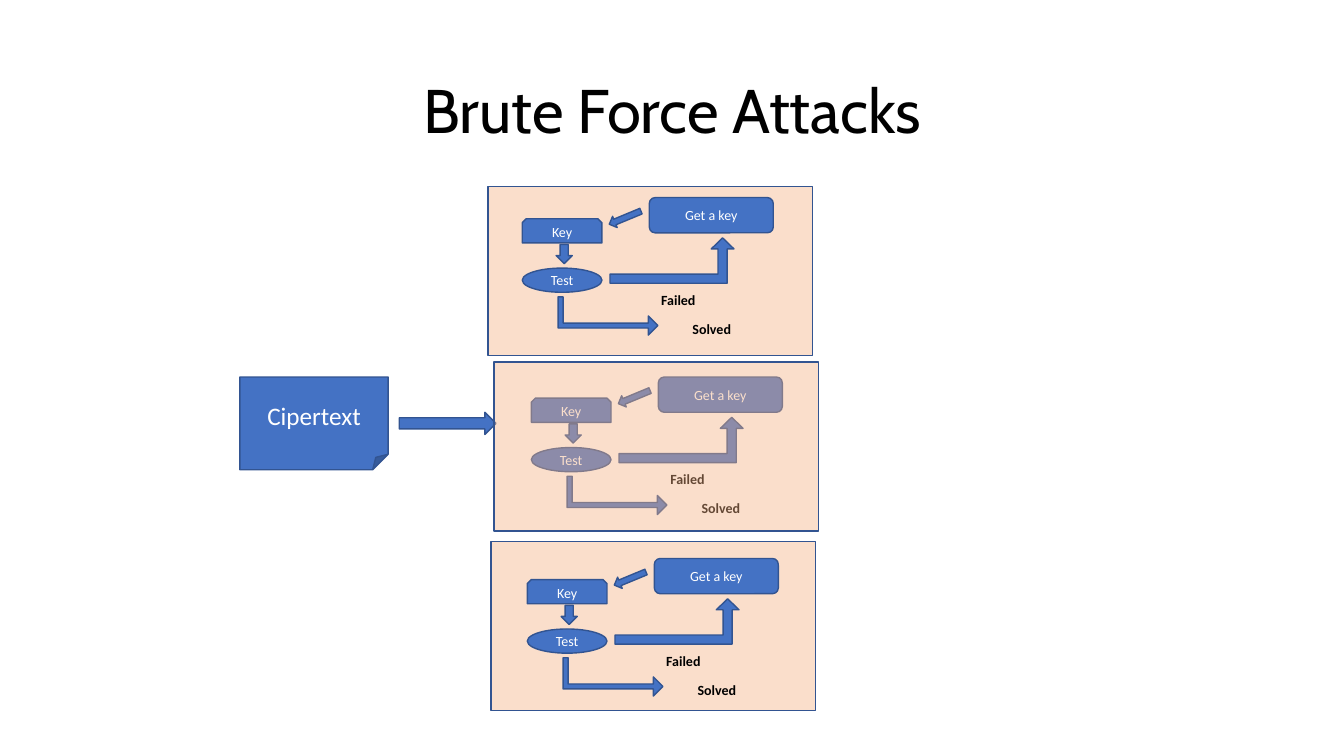
"""Build the brute force attacks slide."""
import dataclasses

import lxml.etree
import pptx
import pptx.dml.color
import pptx.enum.shapes
import pptx.enum.text
import pptx.oxml.ns
import pptx.util

KIND = pptx.enum.shapes.MSO_SHAPE
ALIGN = pptx.enum.text.PP_ALIGN
ANCHOR = pptx.enum.text.MSO_ANCHOR
GRID = pptx.util.Inches(1) / 12


@dataclasses.dataclass(frozen=True)
class Theme:
    """Colours, fonts and type sizes of the slide."""
    accent: str = "4472C4"
    edge: str = "325491"
    panel: str = "F4B183"
    panel_alpha: int = 41
    dark: str = "000000"
    light: str = "FFFFFF"
    heading_font: str = "Cabin"
    body_font: str = "Calibri"
    heading: int = 44
    note: int = 18
    label: int = 10


@dataclasses.dataclass(frozen=True)
class Box:
    """A rectangle in columns and rows of the slide grid."""
    left: float
    top: float
    width: float
    height: float

    def inside(self, left, top, width, height):
        """Return a box offset from this one's top left corner."""
        return Box(self.left + left, self.top + top, width, height)

    def lengths(self):
        """Return the position and size as slide lengths."""
        return [round(value * GRID) for value in dataclasses.astuple(self)]


THEME = Theme()
TITLE = Box(11.04, 4.8, 138, 17.4)
CIPHERTEXT = Box(28.56, 44.88, 30.48, 11.04)
TOP_PANEL = Box(58.08, 22.2, 38.64, 20.16)
MIDDLE_PANEL = Box(58.8, 43.08, 38.64, 20.16)
BOTTOM_PANEL = Box(58.44, 64.44, 38.64, 20.16)
LOOPS = (
    TOP_PANEL.inside(4.08, 1.32, 29.88, 18),
    MIDDLE_PANEL.inside(4.44, 1.8, 29.88, 18),
    BOTTOM_PANEL.inside(4.32, 2.04, 29.88, 18),
)
STEPS = (
    (KIND.SNIP_2_SAME_RECTANGLE, (0, 2.52, 9.48, 2.88), "Key"),
    (KIND.OVAL, (0, 8.4, 9.48, 2.88), "Test"),
    (KIND.ROUNDED_RECTANGLE, (15.12, 0, 14.76, 4.2), "Get a key"),
)
ARROWS = (
    (KIND.RIGHT_ARROW, (3.84, 5.76, 2.28, 1.92), 90, ()),
    (KIND.BENT_UP_ARROW, (10.44, 4.8, 14.76, 5.4), 0, (0.2, 0.25, 0.244)),
    (KIND.BENT_UP_ARROW, (7.92, 8.16, 4.56, 11.88), 90, (0.13, 0.25, 0.25)),
    (KIND.RIGHT_ARROW, (10.2, 1.68, 4.08, 1.44), 157.5, ()),
)
OUTCOMES = (
    ((19.08, 14.04, 10.8, 3.24), "Solved"),
    ((15.36, 10.56, 10.8, 3.24), "Failed"),
)


def rgb(colour):
    """Return a colour object for a hexadecimal name."""
    return pptx.dml.color.RGBColor.from_string(colour)


def write(frame, text, size, colour, font=THEME.body_font, bold=False, align=ALIGN.CENTER):
    """Put one formatted line of text in a frame."""
    frame.word_wrap = True
    para = frame.paragraphs[0]
    para.alignment = align
    span = para.add_run()
    span.text = text
    span.font.name = font
    span.font.size = pptx.util.Pt(size)
    span.font.bold = bold
    span.font.color.rgb = rgb(colour)
    return para


def add_block(shapes, kind, box, fill=THEME.accent):
    """Add an outlined preset shape without shadow."""
    shape = shapes.add_shape(kind, *box.lengths())
    shape.shadow.inherit = False
    shape.fill.solid()
    shape.fill.fore_color.rgb = rgb(fill)
    shape.line.color.rgb = rgb(THEME.edge)
    shape.line.width = pptx.util.Pt(1)
    return shape


def add_labelled_block(shapes, kind, box, text, size):
    """Add a preset shape with a centred light label."""
    frame = add_block(shapes, kind, box).text_frame
    frame.vertical_anchor = ANCHOR.MIDDLE
    write(frame, text, size, THEME.light)


def add_title(page, box):
    """Fill and place the title placeholder."""
    title = page.shapes.title
    title.left, title.top, title.width, title.height = box.lengths()
    title.text_frame.vertical_anchor = ANCHOR.MIDDLE
    para = write(title.text_frame, "Brute Force Attacks", THEME.heading,
                 THEME.dark, THEME.heading_font)
    para.line_spacing = 0.9


def add_panel(page, box):
    """Add a translucent panel."""
    panel = add_block(page.shapes, KIND.RECTANGLE, box, THEME.panel)
    qn = pptx.oxml.ns.qn
    colour = panel.fill._xPr.find(qn("a:solidFill")).find(qn("a:srgbClr"))
    alpha = lxml.etree.SubElement(colour, qn("a:alpha"))
    alpha.set("val", str(THEME.panel_alpha * 1000))


def add_ciphertext(page, box):
    """Add the ciphertext note and the arrow leading from it."""
    add_labelled_block(page.shapes, KIND.FOLDED_CORNER,
                       box.inside(0, 0, 17.64, box.height), "Cipertext", THEME.note)
    add_block(page.shapes, KIND.RIGHT_ARROW, box.inside(18.96, 4.2, 11.52, 2.64))


def add_loop(page, box):
    """Add one grouped loop of getting and testing keys."""
    shapes = page.shapes.add_group_shape().shapes
    for kind, place, text in STEPS:
        add_labelled_block(shapes, kind, box.inside(*place), text, THEME.label)
    for kind, place, angle, adjustments in ARROWS:
        arrow = add_block(shapes, kind, box.inside(*place))
        arrow.rotation = angle
        for index, value in enumerate(adjustments):
            arrow.adjustments[index] = value
    for place, text in OUTCOMES:
        frame = shapes.add_textbox(*box.inside(*place).lengths()).text_frame
        write(frame, text, THEME.label, THEME.dark, bold=True, align=ALIGN.LEFT)
        frame.auto_size = pptx.enum.text.MSO_AUTO_SIZE.SHAPE_TO_FIT_TEXT


def main():
    """Build and save the deck."""
    deck = pptx.Presentation()
    deck.slide_width = pptx.util.Inches(13.33)
    deck.slide_height = pptx.util.Inches(7.5)
    page = deck.slides.add_slide(deck.slide_layouts.get_by_name("Title Only"))
    add_panel(page, BOTTOM_PANEL)
    add_panel(page, TOP_PANEL)
    add_title(page, TITLE)
    add_ciphertext(page, CIPHERTEXT)
    for box in LOOPS:
        add_loop(page, box)
    add_panel(page, MIDDLE_PANEL)
    deck.save("out.pptx")


if __name__ == "__main__":
    main()
